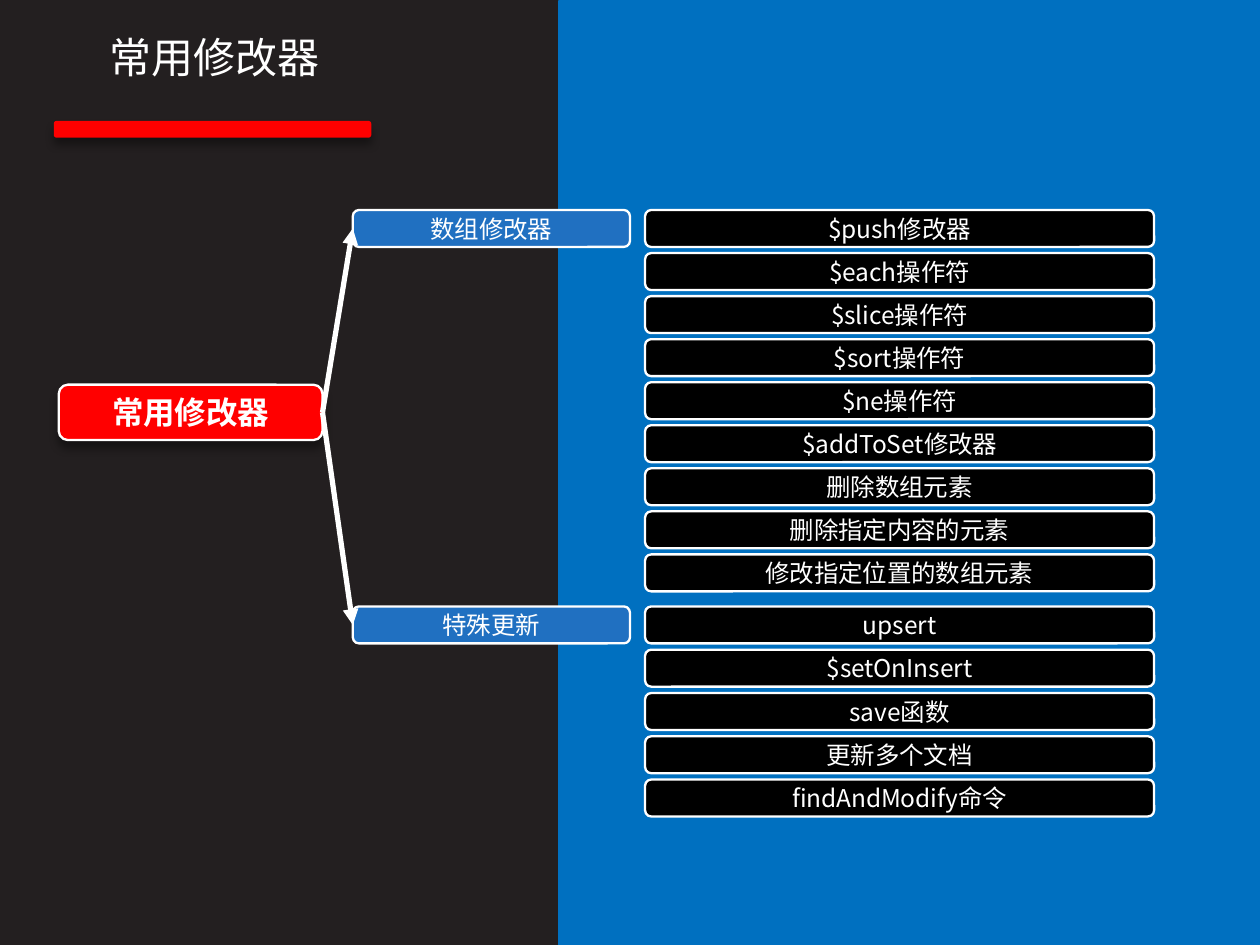
"""Build a slide that maps the common update modifiers."""
from lxml import etree
from pptx import Presentation
from pptx.dml.color import RGBColor
from pptx.enum import shapes as sh, text as tx
from pptx.oxml import parse_xml
from pptx.oxml.ns import qn
from pptx.util import Inches, Pt

FONT = "Noto Sans CJK SC"
DARK = RGBColor(0x23, 0x1F, 0x20)
RED = RGBColor(0xFF, 0x00, 0x00)
BLUE = RGBColor(0x00, 0x70, 0xC0)
MID = RGBColor(0x20, 0x70, 0xC1)
BLACK = RGBColor(0x00, 0x00, 0x00)
WHITE = RGBColor(0xFF, 0xFF, 0xFF)
SHADE = (
    '<a:outerShdw xmlns:a="http://schemas.openxmlformats.org/drawingml/2006/main" '
    'blurRad="50800" dist="38100" dir="5400000" algn="t" rotWithShape="0">'
    '<a:srgbClr val="000000"><a:alpha val="40000"/></a:srgbClr></a:outerShdw>'
)


def write(shape, words, size=10.5, bold=False, anchor=tx.MSO_ANCHOR.MIDDLE):
    frame = shape.text_frame
    frame.word_wrap = True
    frame.auto_size = tx.MSO_AUTO_SIZE.NONE
    frame.vertical_anchor = anchor
    para = frame.paragraphs[0]
    para.alignment = tx.PP_ALIGN.CENTER
    run = para.add_run()
    run.text = words
    run.font.name = FONT
    run.font.size = Pt(size)
    run.font.bold = bold
    run.font.color.rgb = WHITE
    east = etree.SubElement(run.font._element, qn("a:ea"))
    east.set("typeface", FONT)


def block(place, fill, line=WHITE, width=1, kind=sh.MSO_SHAPE.ROUNDED_RECTANGLE, shade=False):
    shape = slide.shapes.add_shape(kind, *map(Inches, place))
    shape.fill.solid()
    shape.fill.fore_color.rgb = fill
    if line is None:
        shape.line.fill.background()
    else:
        shape.line.color.rgb = line
        shape.line.width = Pt(width)
    shape.shadow.inherit = False
    if shade:
        shape._element.spPr.find(qn("a:effectLst")).append(parse_xml(SHADE))
    return shape


deck = Presentation()
deck.slide_width, deck.slide_height = Inches(7.5), Inches(7.5 * 3 / 4)
slide = deck.slides.add_slide(deck.slide_layouts[5])
slide.background.fill.solid()
slide.background.fill.fore_color.rgb = DARK

block((0.32, 0.72, 1.89, 0.1), RED, line=None, shade=True)
block((3.34, 0.01, 4.16, 5.61), BLUE, line=BLUE, width=3, kind=sh.MSO_SHAPE.RECTANGLE)

title = slide.shapes.title
title.left, title.top, title.width, title.height = map(Inches, (0.27, 0.14, 2.01, 0.55))
write(title, "常用修改器", size=18, anchor=tx.MSO_ANCHOR.TOP)

root = block((0.35, 2.29, 1.57, 0.33), RED, shade=True)
write(root, "常用修改器", size=13.5, bold=True)

groups = [
    ("数组修改器", 1.25, 3.3, [
        "$push修改器", "$each操作符", "$slice操作符", "$sort操作符", "$ne操作符",
        "$addToSet修改器", "删除数组元素", "删除指定内容的元素", "修改指定位置的数组元素",
    ]),
    ("特殊更新", 3.61, 4.64, [
        "upsert", "$setOnInsert", "save函数", "更新多个文档", "findAndModify命令",
    ]),
]
for name, top, last, items in groups:
    head = block((2.1, top, 1.65, 0.22), MID)
    write(head, name)

    step = (last - top) / (len(items) - 1)
    for row, item in enumerate(items):
        write(block((3.84, top + row * step, 3.03, 0.22), BLACK), item)

    link = slide.shapes.add_connector(sh.MSO_CONNECTOR.STRAIGHT, 0, 0, 0, 0)
    link.begin_connect(root, 3)
    link.end_connect(head, 1)
    link.line.color.rgb = WHITE
    link.line.width = Pt(2.25)
    etree.SubElement(link.line._get_or_add_ln(), qn("a:tailEnd")).set("type", "triangle")
    etree.SubElement(link._element.spPr, qn("a:effectLst"))

deck.save("out.pptx")
